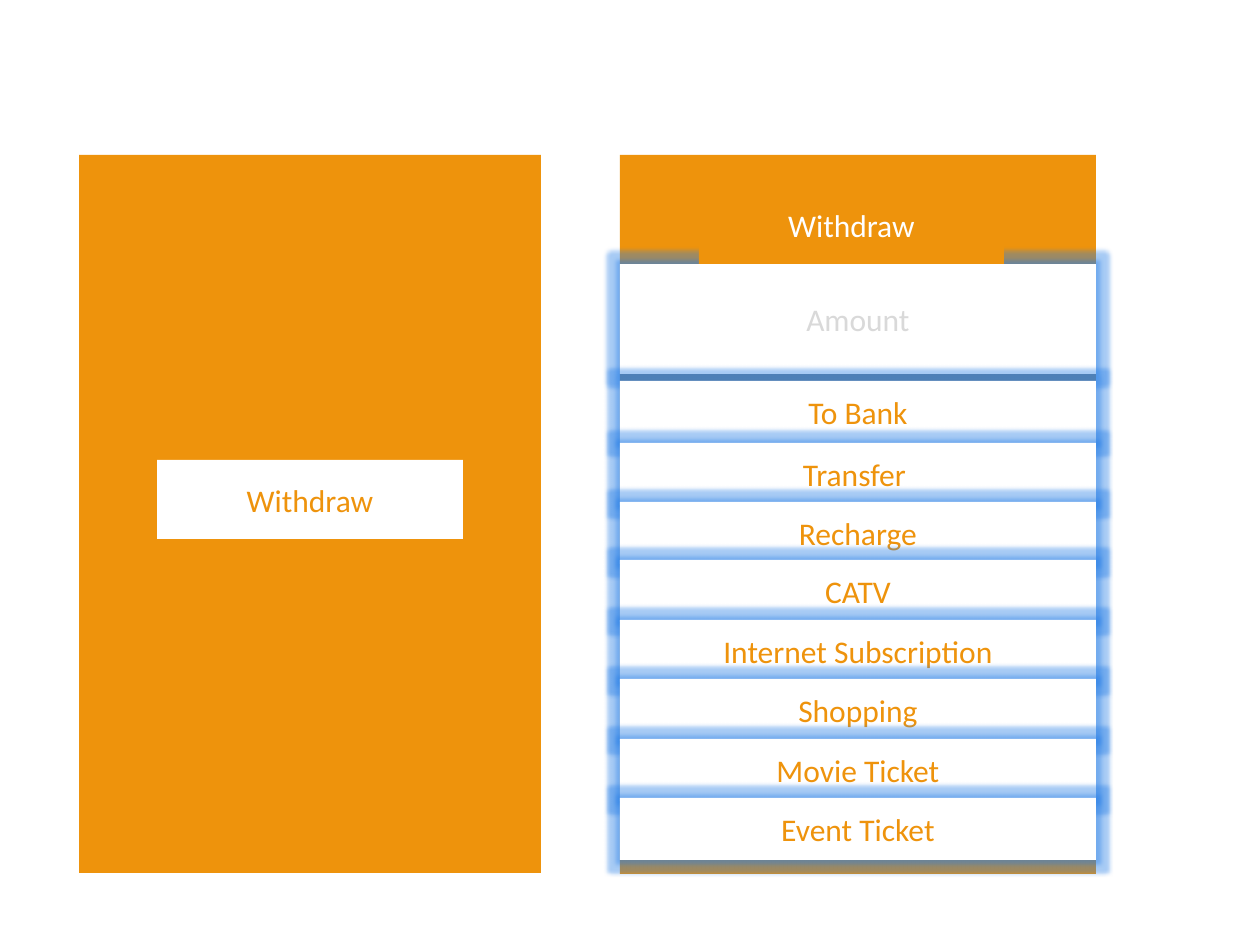
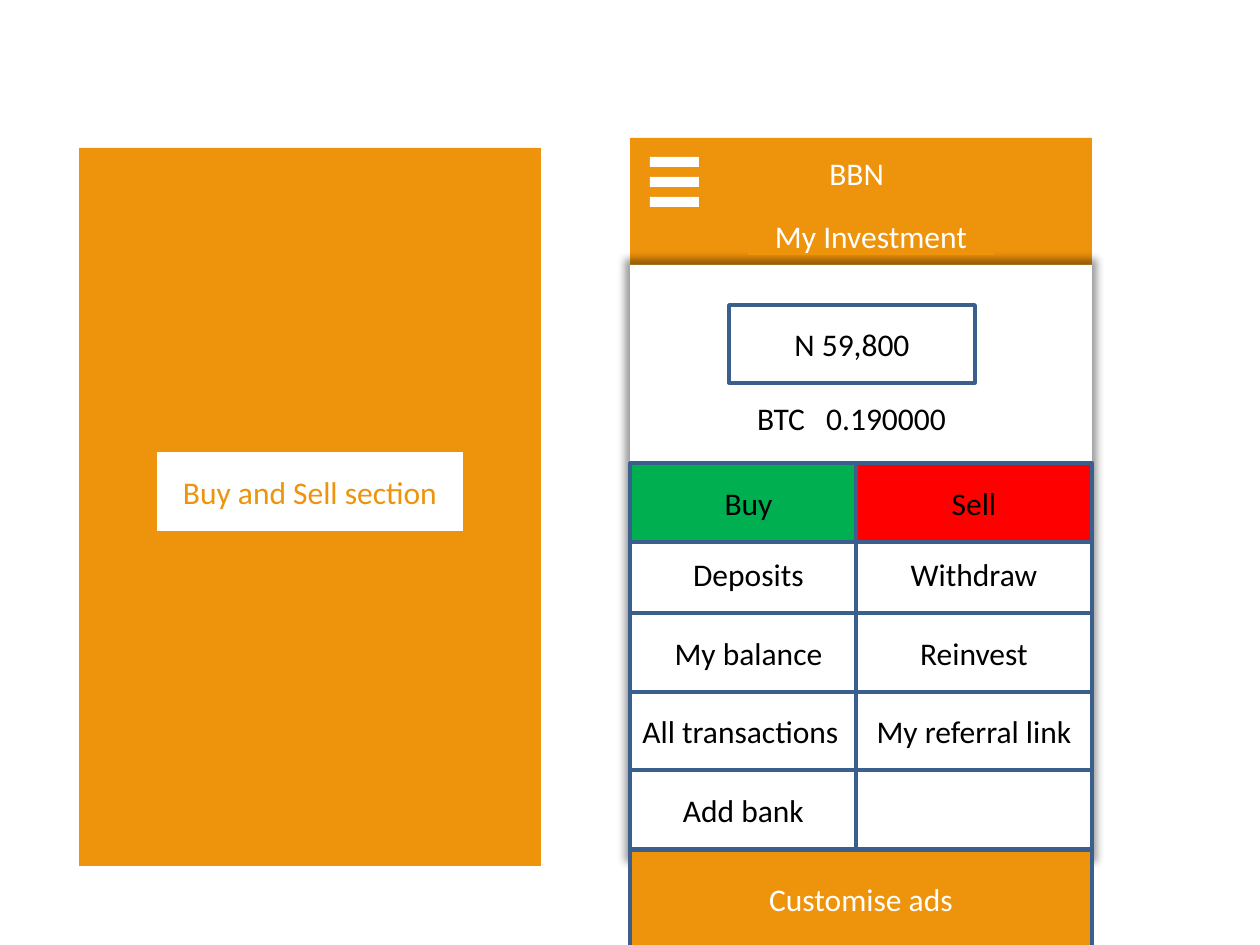
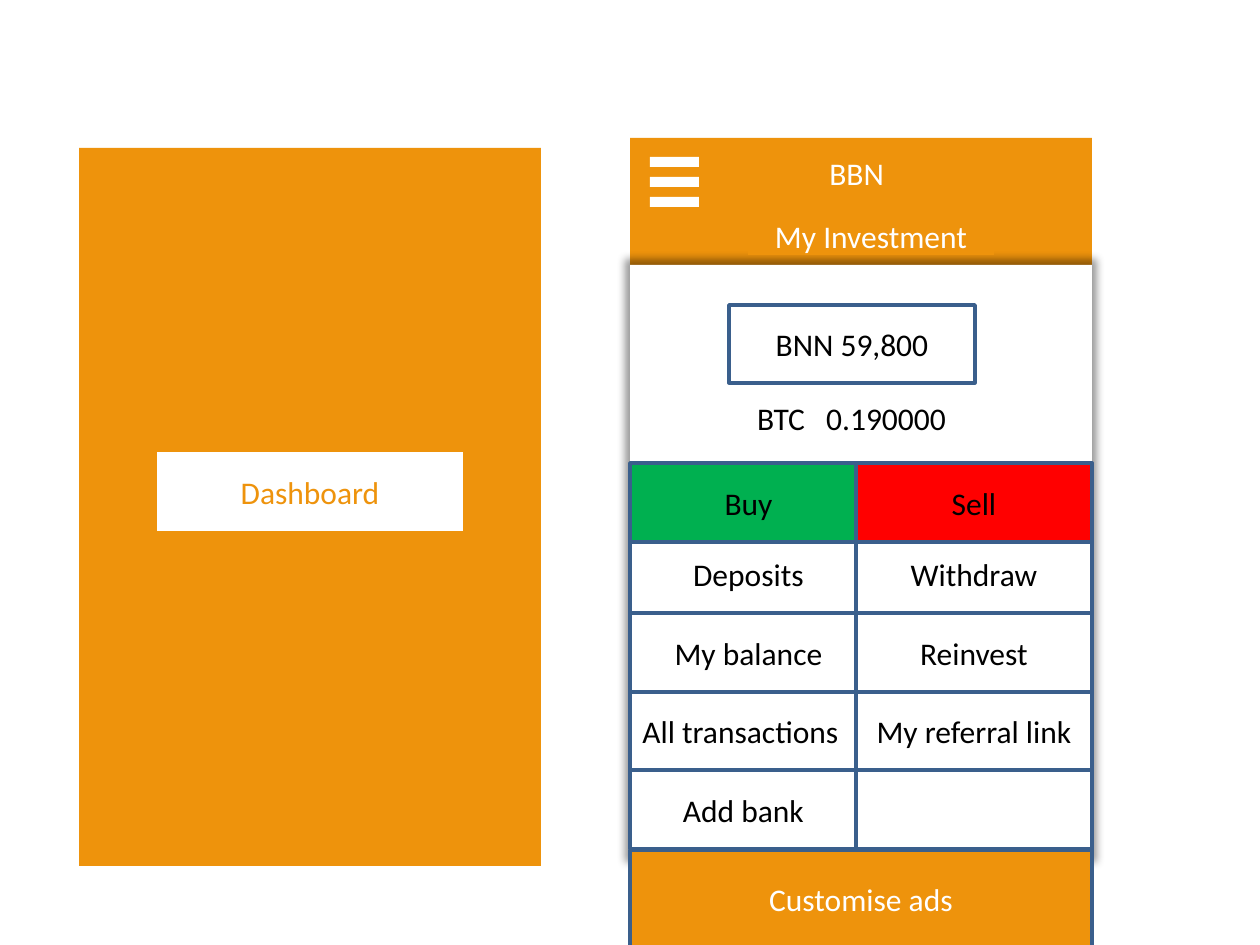
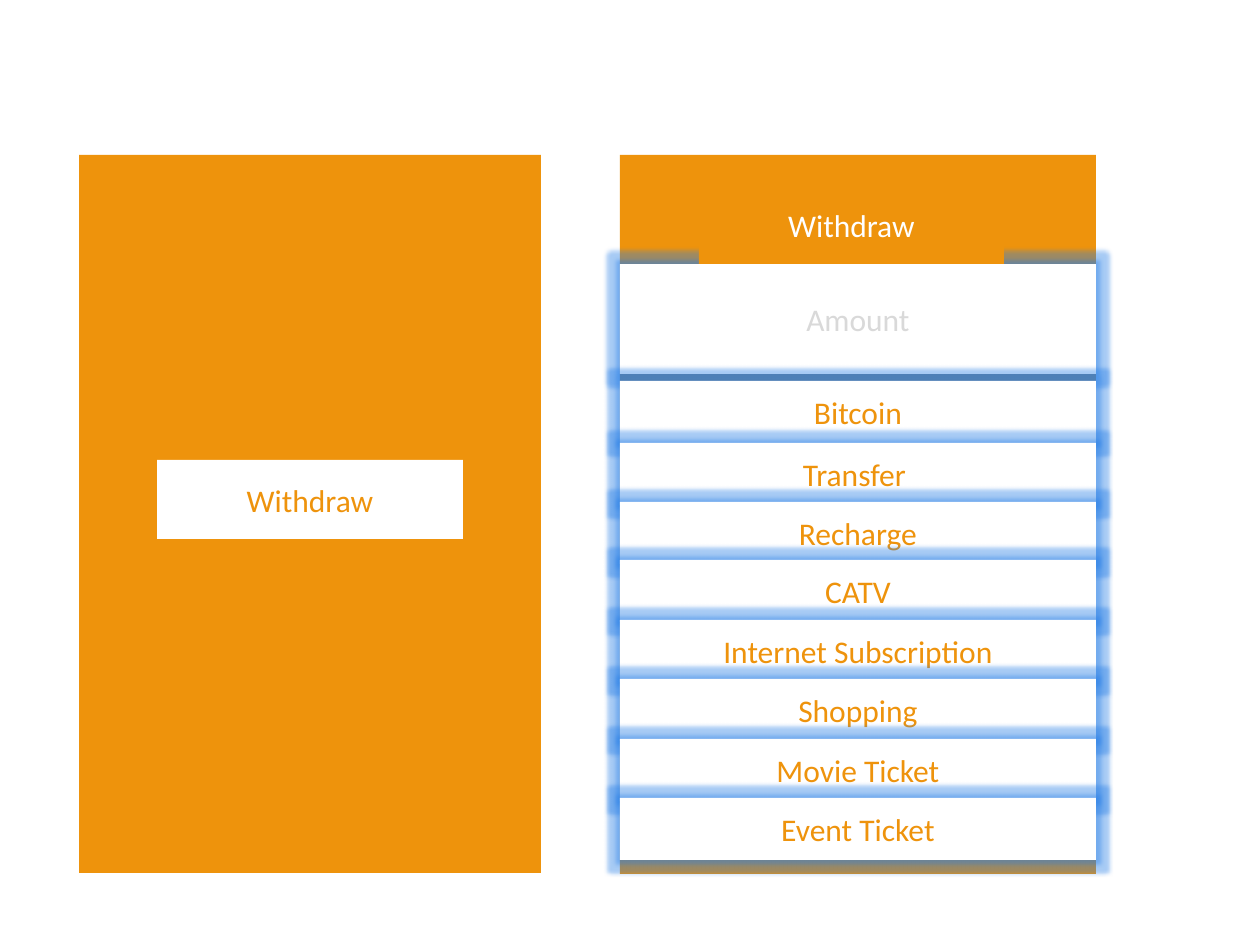
from lxml.etree import SubElement
from pptx import Presentation
from pptx.dml.color import RGBColor
from pptx.enum.shapes import MSO_SHAPE
from pptx.enum.text import MSO_ANCHOR, MSO_AUTO_SIZE, PP_ALIGN
from pptx.oxml.ns import qn
from pptx.util import Emu, Pt

PX = 914400 / 126
FONT = "Calibri"
ORANGE, WHITE, BLACK, GREY = "EE930C", "FFFFFF", "000000", "D9D9D9"
BORDER, GREEN, RED, GLOW = "3A5F8C", "00B050", "FF0000", "257DE6"

SERVICES = [(443, "Transfer "), (502, "Recharge"), (560, "CATV"),
            (620, "Internet Subscription"), (679, "Shopping"),
            (739, "Movie Ticket"), (798, "Event Ticket")]
SCREENS = [
    {"kind": "withdraw", "section": "Withdraw", "first": "To Bank"},
    {"kind": "invest", "section": "Buy and Sell section", "balance": "N 59,800"},
    {"kind": "invest", "section": "Dashboard", "balance": "BNN 59,800"},
    {"kind": "withdraw", "section": "Withdraw", "first": "Bitcoin"},
]
MENU = [
    (463, 237, "Buy", "Sell"),
    (534, 237, "Deposits", "Withdraw"),
    (613, 237, "My balance", "Reinvest"),
    (691, 227, "All transactions", "My referral link"),
    (770, 227, "Add bank", ""),
]
MENU_FILLS = {"Buy": GREEN, "Sell": RED}
WIDE_GAP = 8


def px(count):
    return Emu(round(count * PX))


def color(hex_string):
    return RGBColor.from_string(hex_string)


def add_text(box, words, ink, align):
    para = box.text_frame.paragraphs[0]
    para.alignment = align
    for part in words if isinstance(words, tuple) else (words,):
        span = para.add_run()
        span.text = part
        span.font.name = FONT
        span.font.size = Pt(18)
        span.font.color.rgb = color(ink)
        if part == " ":
            span._r.get_or_add_rPr().set("spc", str(WIDE_GAP * 100))


def add_effect(box, kind, hex_string, **settings):
    effects = box._element.spPr.find(qn("a:effectLst"))
    effect = SubElement(effects, qn(f"a:{kind}"))
    for name, value in settings.items():
        effect.set(name, str(value))
    tint = SubElement(effect, qn("a:srgbClr"), val=hex_string)
    SubElement(tint, qn("a:alpha"), val="40000")


def add_box(page, left, top, width, height, fill, words="", ink=BLACK,
            line=None, align=PP_ALIGN.CENTER):
    box = page.shapes.add_shape(MSO_SHAPE.RECTANGLE, px(left), px(top),
                                px(width), px(height))
    box.shadow.inherit = False
    box.fill.solid()
    box.fill.fore_color.rgb = color(fill)
    if line:
        box.line.color.rgb = color(line)
        box.line.width = Pt(2)
    else:
        box.line.fill.background()
    box.text_frame.vertical_anchor = MSO_ANCHOR.MIDDLE
    if words:
        add_text(box, words, ink, align)
    return box


def add_section(page, top, label_top, name):
    add_box(page, 79, top, 462, 718, ORANGE)
    add_box(page, 157, label_top, 306, 79, WHITE, name, ORANGE)


def add_glowing(page, top, height, words, ink):
    box = add_box(page, 620, top, 476, height, WHITE, words, ink)
    add_effect(box, "glow", GLOW, rad=Pt(5))


def build_withdraw(page, screen):
    add_section(page, 155, 460, screen["section"])
    add_box(page, 620, 155, 476, 719, ORANGE)
    add_glowing(page, 264, 110, "Amount", GREY)
    add_box(page, 699, 185, 305, 79, ORANGE, "Withdraw", WHITE)
    for top, service in [(381, screen["first"])] + SERVICES:
        add_glowing(page, top, 62, service, ORANGE)


def build_invest(page, screen):
    add_section(page, 148, 452, screen["section"])
    add_box(page, 630, 138, 462, 781, ORANGE)
    brand = page.shapes.add_textbox(px(817), px(148), px(88), px(50))
    brand.text_frame.word_wrap = True
    brand.text_frame.auto_size = MSO_AUTO_SIZE.SHAPE_TO_FIT_TEXT
    add_text(brand, "BBN", WHITE, PP_ALIGN.LEFT)
    for bar in range(3):
        add_box(page, 650, 157 + 20 * bar, 49, 10, WHITE)
    card = add_box(page, 630, 265, 462, 591, WHITE)
    add_effect(card, "outerShdw", BLACK, blurRad=Pt(5), sx=102000, sy=102000,
               algn="ctr", rotWithShape=0)
    add_box(page, 748, 216, 246, 39, ORANGE, "My Investment", WHITE)
    add_box(page, 729, 305, 246, 78, WHITE, screen["balance"], line=BORDER)
    add_box(page, 709, 405, 285, 25, WHITE, ("BTC", " ", "0.190000"), line=WHITE)
    for top, width, left_name, right_name in reversed(MENU):
        align = PP_ALIGN.LEFT if left_name == "All transactions" else PP_ALIGN.CENTER
        add_box(page, 630, top, width, 79, MENU_FILLS.get(left_name, WHITE),
                left_name, line=BORDER, align=align)
        add_box(page, 856, top, 236, 79, MENU_FILLS.get(right_name, WHITE),
                right_name, line=BORDER)
    add_box(page, 630, 850, 462, 98, ORANGE, "Customise ads", WHITE, BORDER)


def main():
    deck = Presentation()
    deck.slide_width, deck.slide_height = px(1260), px(945)
    builders = {"withdraw": build_withdraw, "invest": build_invest}
    for screen in SCREENS:
        page = deck.slides.add_slide(deck.slide_layouts[6])
        builders[screen["kind"]](page, screen)
    deck.save("out.pptx")


if __name__ == "__main__":
    main()
